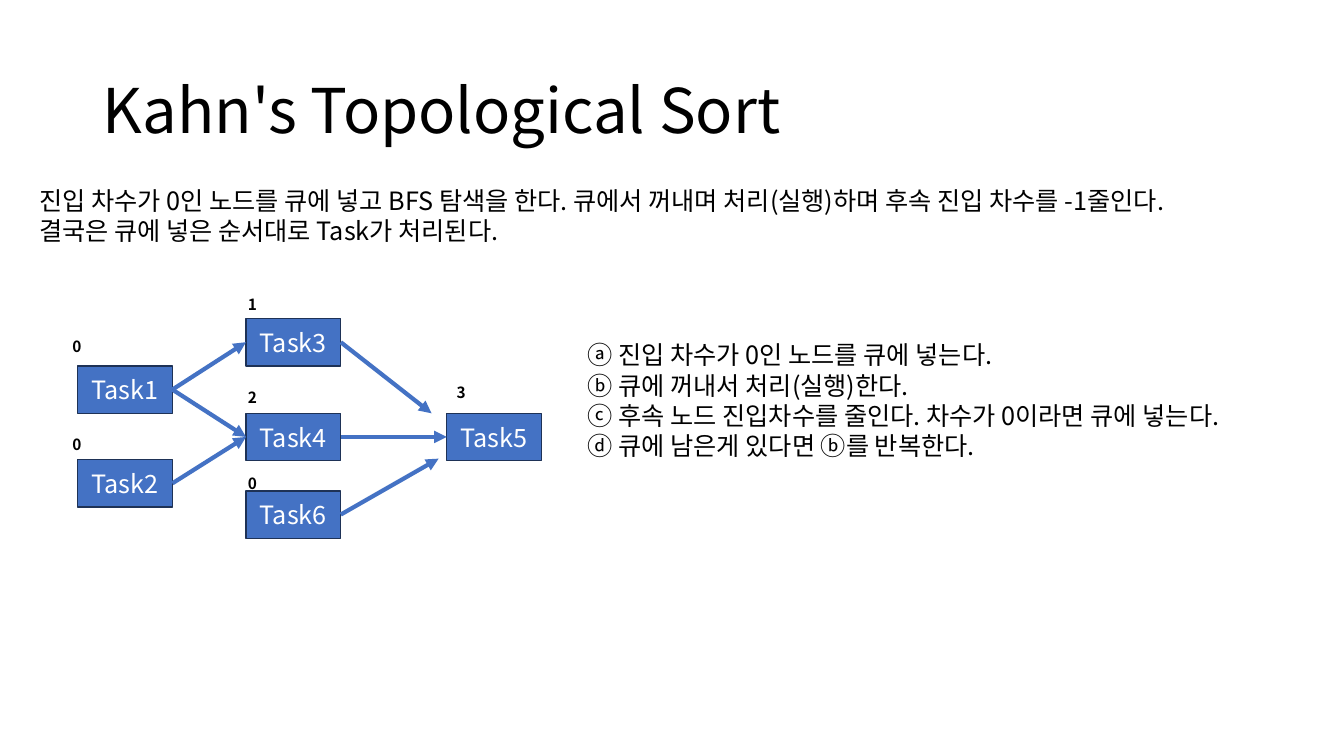
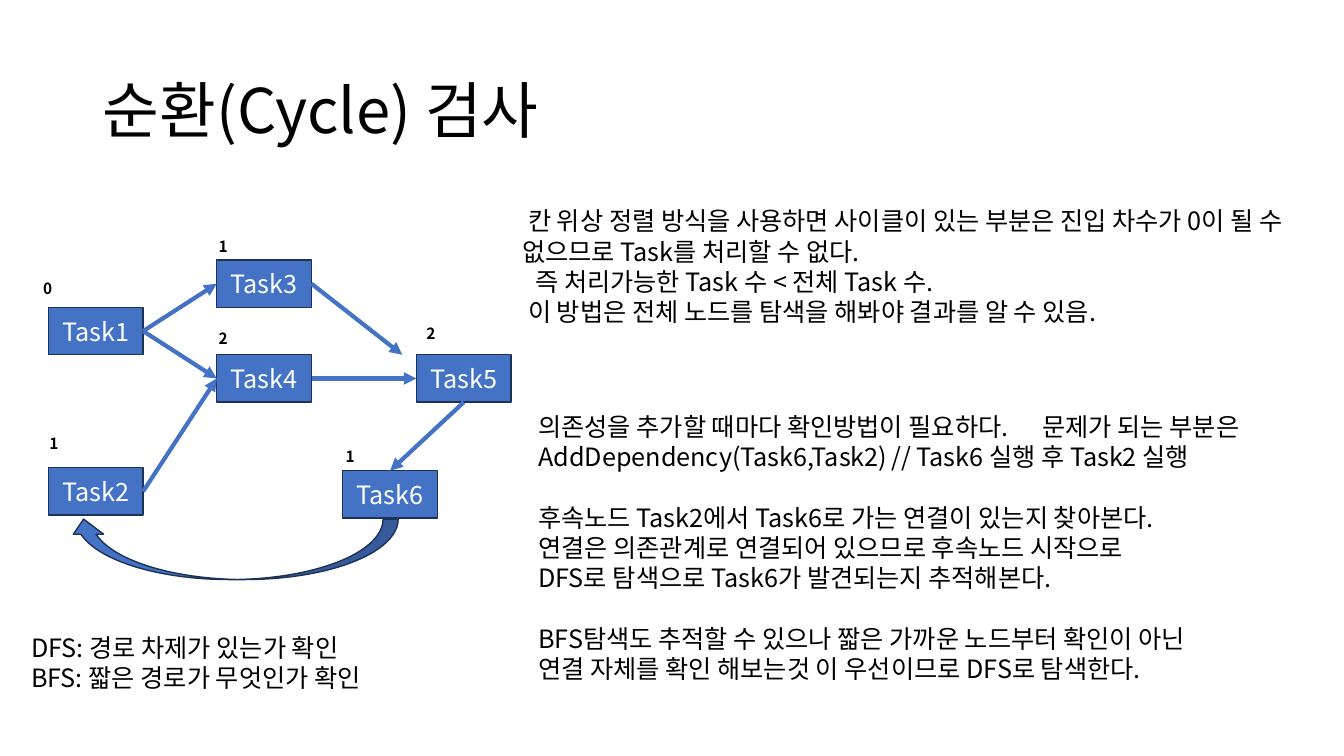
from dataclasses import dataclass, replace

from lxml.etree import SubElement
from pptx import Presentation
from pptx.dml.color import RGBColor
from pptx.enum.shapes import MSO_CONNECTOR as Wire, MSO_SHAPE as Form
from pptx.enum.text import MSO_ANCHOR as Anchor, MSO_AUTO_SIZE as Fit, PP_ALIGN as Align
from pptx.oxml.ns import qn
from pptx.util import Emu, Pt

FONT = "Noto Sans CJK KR"
BLACK, WHITE, BLUE, NAVY = "000000", "FFFFFF", "4472C4", "1E3256"
TOP, LEFT, BASE, RIGHT = range(4)
WIDE, HIGH = 94, 47
LEAD = 1.2
BODY = {"size": Pt(18), "bold": False}
MARK = {"size": Pt(11), "bold": True}
HEAD = {"size": Pt(44), "bold": False}
FLOW = {"word_wrap": True, "auto_size": Fit.SHAPE_TO_FIT_TEXT}
TIGHT = {"word_wrap": False, "auto_size": Fit.SHAPE_TO_FIT_TEXT}
MID = {"word_wrap": True, "vertical_anchor": Anchor.MIDDLE}


@dataclass(frozen=True)
class Node:
    name: str
    x: int
    y: int
    rank: str
    dx: int
    dy: int


@dataclass(frozen=True)
class Link:
    start: str
    end: str
    out: int = RIGHT
    into: int = LEFT
    spot: tuple[int, int] | None = None


@dataclass(frozen=True)
class Line:
    text: str
    indent: int = 0
    gap: float = 0


@dataclass(frozen=True)
class Note:
    x: int
    y: int
    w: int
    h: int
    lines: list[Line]
    tabs: tuple[int, ...] = ()


@dataclass(frozen=True)
class Page:
    title: str
    nodes: list[Node]
    links: list[Link]
    notes: list[Note]
    loop: tuple[int, int, int, int] | None = None


def px(n: int) -> Emu:
    return Emu(n * 9144)


def ink(code: str) -> RGBColor:
    return RGBColor.from_string(code)


def put(item, vals: dict) -> None:
    for key, val in vals.items():
        setattr(item, key, val)


def write(para, text: str, style: dict, tint: str, align=Align.LEFT, lead=None) -> None:
    run = para.add_run()
    run.text = text
    put(run.font, style | {"name": FONT})
    run.font.color.rgb = ink(tint)
    SubElement(run.font._element, qn("a:ea"), typeface=FONT)
    put(para, {"alignment": align, "line_spacing": lead or Pt(style["size"].pt * LEAD)})


def paint(shape) -> None:
    shape.shadow.inherit = False
    shape.fill.solid()
    shape.fill.fore_color.rgb = ink(BLUE)
    shape.line.color.rgb = ink(NAVY)
    shape.line.width = Pt(1)


def add_head(slide, text: str) -> None:
    head = slide.shapes.title
    put(head, {"left": px(92), "top": px(40), "width": px(1150), "height": px(145)})
    put(head.text_frame, MID)
    write(head.text_frame.paragraphs[0], text, HEAD, BLACK, lead=0.9)


def add_node(slide, node: Node):
    box = slide.shapes.add_shape(Form.RECTANGLE, px(node.x), px(node.y), px(WIDE), px(HIGH))
    paint(box)
    put(box.text_frame, MID)
    write(box.text_frame.paragraphs[0], node.name, BODY, WHITE, Align.CENTER)
    mark = slide.shapes.add_textbox(px(node.x + node.dx), px(node.y + node.dy), px(29), px(29))
    put(mark.text_frame, TIGHT)
    write(mark.text_frame.paragraphs[0], node.rank, MARK, BLACK)
    return box


def add_link(slide, link: Link, boxes: dict) -> None:
    x, y = link.spot or (0, 0)
    wire = slide.shapes.add_connector(Wire.STRAIGHT, 0, 0, px(x), px(y))
    wire.begin_connect(boxes[link.start], link.out)
    if not link.spot:
        wire.end_connect(boxes[link.end], link.into)
    wire.line.color.rgb = ink(BLUE)
    wire.line.width = Pt(3)
    SubElement(wire.line._get_or_add_ln(), qn("a:tailEnd"), type="triangle")
    SubElement(wire.element.spPr, qn("a:effectLst"))


def add_note(slide, note: Note) -> None:
    box = slide.shapes.add_textbox(px(note.x), px(note.y), px(note.w), px(note.h))
    frame = box.text_frame
    put(frame, FLOW)
    for i, line in enumerate(note.lines):
        para = frame.add_paragraph() if i else frame.paragraphs[0]
        write(para, line.text, BODY, BLACK)
        para.space_before = Pt(line.gap)
        props = para._p.get_or_add_pPr()
        props.set("indent", str(px(line.indent)))
        if "\t" in line.text:
            stops = SubElement(props, qn("a:tabLst"))
            for tab in note.tabs:
                SubElement(stops, qn("a:tab"), pos=str(px(tab)), algn="l")


def add_loop(slide, area: tuple[int, int, int, int]) -> None:
    loop = slide.shapes.add_shape(Form.CURVED_UP_ARROW, *map(px, area))
    paint(loop)
    loop.element.spPr.xfrm.set("flipH", "1")


def add_page(deck, page: Page) -> None:
    slide = deck.slides.add_slide(deck.slide_layouts[5])
    add_head(slide, page.title)
    boxes = {node.name: add_node(slide, node) for node in page.nodes}
    for link in page.links:
        add_link(slide, link, boxes)
    if page.loop:
        add_loop(slide, page.loop)
    for note in page.notes:
        add_note(slide, note)


CORE = [
    Node("Task1", 77, 363, "0", -15, -33),
    Node("Task3", 244, 316, "1", -8, -28),
    Node("Task4", 244, 410, "2", -8, -30),
    Node("Task5", 443, 410, "3", 0, -35),
]
MOVED = [replace(n, x=n.x - 29, y=n.y - 58) for n in CORE[:3]] + [
    replace(CORE[3], x=413, y=352, rank="2")
]
LINKS = [
    Link("Task4", "Task5"),
    Link("Task1", "Task3"),
    Link("Task1", "Task4"),
    Link("Task2", "Task4"),
]
GAP = 18 * LEAD

PAGES = [
    Page(
        "Kahn's Topological Sort",
        CORE + [
            Node("Task2", 77, 456, "0", -15, -29),
            Node("Task6", 244, 487, "0", -8, -22),
        ],
        LINKS + [
            Link("Task3", "Task5", spot=(428, 410)),
            Link("Task6", "Task5", spot=(435, 455)),
        ],
        [
            Note(573, 332, 723, 162, [
                Line("ⓐ 진입 차수가 0인 노드를 큐에 넣는다."),
                Line("ⓑ 큐에 꺼내서 처리(실행)한다."),
                Line("ⓒ 후속 노드 진입차수를 줄인다. 차수가 0이라면 큐에 넣는다."),
                Line("ⓓ 큐에 남은게 있다면 ⓑ를 반복한다."),
            ]),
            Note(29, 179, 1260, 71, [
                Line("진입 차수가 0인 노드를 큐에 넣고 BFS 탐색을 한다. 큐에서 꺼내며 처리(실행)하며 후속 진입 차수를 -1줄인다."),
                Line("결국은 큐에 넣은 순서대로 Task가 처리된다."),
            ]),
        ],
    ),
    Page(
        "순환(Cycle) 검사",
        MOVED + [
            Node("Task2", 48, 464, "1", -9, -38),
            Node("Task6", 340, 467, "1", -7, -28),
        ],
        LINKS + [
            Link("Task3", "Task5", spot=(399, 352)),
            Link("Task5", "Task6", BASE, TOP),
        ],
        [
            Note(508, 199, 802, 131, [
                Line("칸 위상 정렬 방식을 사용하면 사이클이 있는 부분은 진입 차수가 0이 될 수 없으므로 Task를 처리할 수 없다.", 6),
                Line("즉 처리가능한 Task 수 < 전체 Task 수.", 13),
                Line("이 방법은 전체 노드를 탐색을 해봐야 결과를 알 수 있음.", 6),
            ]),
            Note(524, 403, 779, 283, [
                Line("의존성을 추가할 때마다 확인방법이 필요하다.\t문제가 되는 부분은"),
                Line("AddDependency(Task6,Task2)\t// Task6 실행 후 Task2 실행"),
                Line("후속노드 Task2에서 Task6로 가는 연결이 있는지 찾아본다.", gap=GAP),
                Line("연결은 의존관계로 연결되어 있으므로 후속노드 시작으로"),
                Line("DFS로 탐색으로 Task6가 발견되는지 추적해본다."),
                Line("BFS탐색도 추적할 수 있으나 짧은 가까운 노드부터 확인이 아닌", gap=GAP),
                Line("연결 자체를 확인 해보는것 이 우선이므로 DFS로 탐색한다."),
            ], (362, 494)),
            Note(21, 622, 422, 71, [
                Line("DFS: 경로 차제가 있는가 확인"),
                Line("BFS: 짧은 경로가 무엇인가 확인"),
            ]),
        ],
        (68, 515, 327, 60),
    ),
]


def main() -> None:
    deck = Presentation()
    put(deck, {"slide_width": px(1333), "slide_height": px(750)})
    for page in PAGES:
        add_page(deck, page)
    deck.save("out.pptx")


if __name__ == "__main__":
    main()
